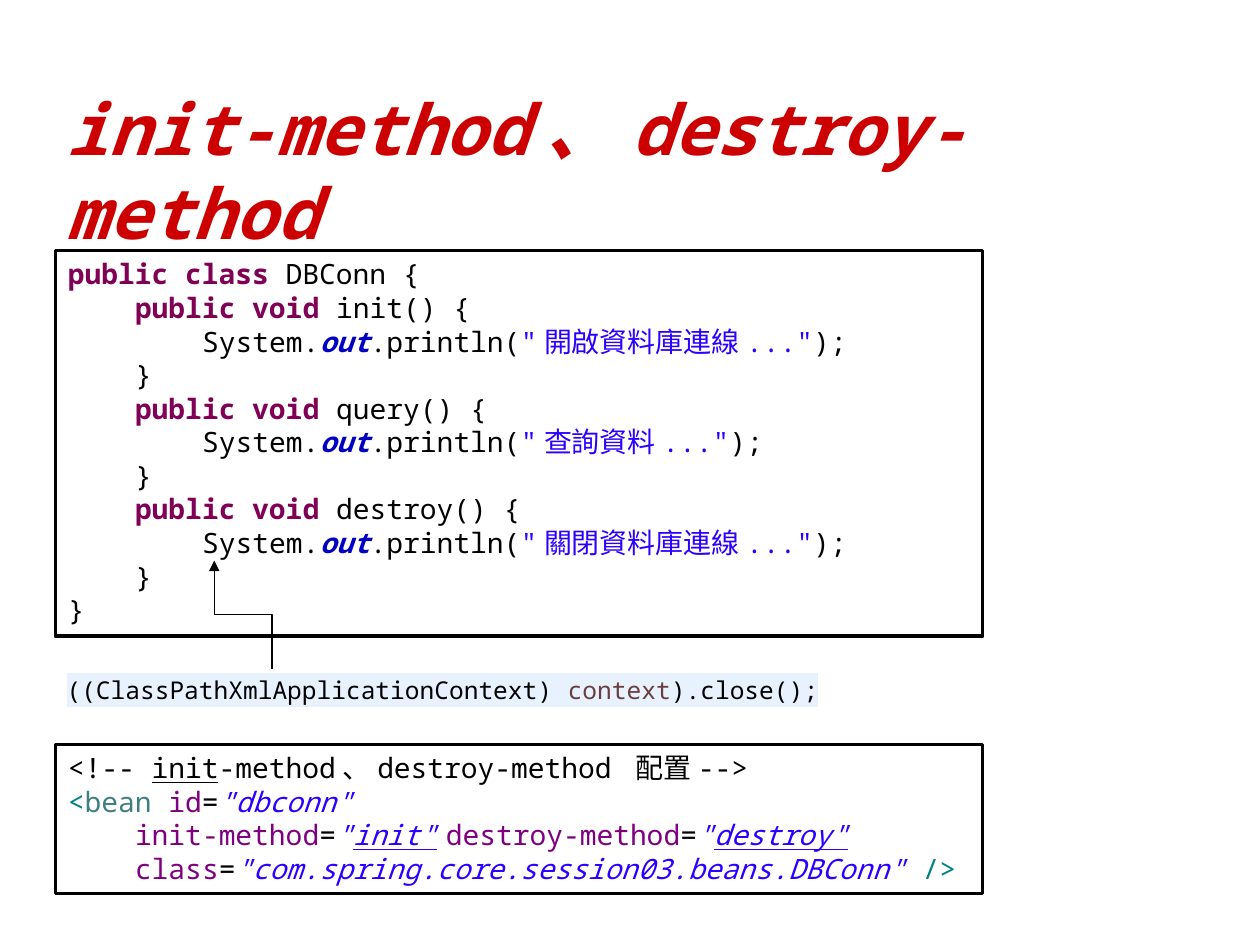
from dataclasses import dataclass

from lxml import etree
from pptx import Presentation
from pptx import util as u
from pptx.dml.color import RGBColor
from pptx.enum import shapes, text
from pptx.oxml.ns import qn


@dataclass(frozen=True)
class Theme:
    font: str = "Noto Sans Mono"
    title_size: int = 40
    code_size: int = 16
    call_size: int = 14
    title: str = "CC0000"
    ink: str = "000000"
    paper: str = "FFFFFF"
    highlight: str = "E8F2FE"


THEME = Theme()
CHAR = 0.6 * THEME.code_size / 72  # width of one code character, inches
LEFT, WIDTH = 0.44, 7.36

# Run styles: colour, then any of b(old), i(talic), u(nderline)
STYLES = {
    "plain": (THEME.ink, ""),
    "link": (THEME.ink, "u"),
    "keyword": ("7F0055", "b"),
    "field": ("0000C0", "bi"),
    "string": ("2A00FF", ""),
    "value": ("2A00FF", "i"),
    "method": ("2A00FF", "iu"),
    "bracket": ("008080", ""),
    "tag": ("3F7F7F", ""),
    "attr": ("7F007F", ""),
    "variable": ("6A3E3E", ""),
    "title": (THEME.title, "bi"),
}


def rgb(value):
    return RGBColor.from_string(value)


def add_run(p, content, style, size):
    color, flags = STYLES[style]
    r = p.add_run()
    r.text = content
    f = r.font
    f.name, f.size = THEME.font, u.Pt(size)
    f.bold, f.italic, f.underline = ("b" in flags, "i" in flags, "u" in flags)
    f.color.rgb = rgb(color)
    return r


def add_highlight(r, color):
    fill = r.font._element.find(qn("a:solidFill"))
    mark = etree.Element(qn("a:highlight"))
    etree.SubElement(mark, qn("a:srgbClr"), val=color)
    fill.addnext(mark)


def fill_lines(tf, lines, size):
    """Each line is (indent level, run, run, ...); a run is (text, style)."""
    tf.word_wrap = True
    tf.auto_size = text.MSO_AUTO_SIZE.SHAPE_TO_FIT_TEXT
    tf.vertical_anchor = text.MSO_ANCHOR.TOP
    for n, (level, *runs) in enumerate(lines):
        p = tf.add_paragraph() if n else tf.paragraphs[0]
        p.alignment = text.PP_ALIGN.LEFT
        pPr = p._p.get_or_add_pPr()
        pPr.set("marL", "0")
        pPr.set("indent", str(u.Inches(4 * CHAR * level)))
        for content, style in runs:
            add_run(p, content, style, size)


def add_tab_stop(p, columns):
    tabs = etree.SubElement(p._p.get_or_add_pPr(), qn("a:tabLst"))
    etree.SubElement(tabs, qn("a:tab"), pos=str(u.Inches(columns * CHAR)), algn="l")


def add_title(s, content):
    sp = s.shapes.title
    sp.left, sp.top, sp.width, sp.height = map(u.Inches, (0.43, 0.91, 9, 0.87))
    tf = sp.text_frame
    tf.word_wrap = True
    tf.auto_size = text.MSO_AUTO_SIZE.NONE
    tf.vertical_anchor = text.MSO_ANCHOR.MIDDLE
    p = tf.paragraphs[0]
    p.alignment = text.PP_ALIGN.LEFT
    add_run(p, content, "title", THEME.title_size)


def add_code_box(s, top, height, lines):
    sp = s.shapes.add_shape(shapes.MSO_SHAPE.RECTANGLE,
                            *map(u.Inches, (LEFT, top, WIDTH, height)))
    sp.shadow.inherit = False
    sp.fill.solid()
    sp.fill.fore_color.rgb = rgb(THEME.paper)
    sp.line.color.rgb = rgb(THEME.ink)
    sp.line.width = u.Pt(2)
    fill_lines(sp.text_frame, lines, THEME.code_size)
    return sp


def add_call(s, runs):
    sp = s.shapes.add_textbox(*map(u.Inches, (0.43, 5.31, 6.95, 0.34)))
    fill_lines(sp.text_frame, [(0, *runs)], THEME.call_size)
    for r in sp.text_frame.paragraphs[0].runs:
        add_highlight(r, THEME.highlight)


def add_rising_elbow(s, x1, y1, x2, y2):
    """Elbow arrow that leaves and arrives vertically: a level elbow turned by 270°."""
    cx, cy = (x1 + x2) / 2, (y1 + y2) / 2
    half_w, half_h = abs(y2 - y1) / 2, abs(x2 - x1) / 2
    cn = s.shapes.add_connector(
        shapes.MSO_CONNECTOR.ELBOW,
        *map(u.Inches, (cx - half_w, cy + half_h, cx + half_w, cy - half_h)))
    spPr = cn._element.spPr
    spPr.find(qn("a:xfrm")).set("rot", str(270 * 60000))
    cn.line.color.rgb = rgb(THEME.ink)
    cn.line.width = u.Pt(0.75)
    etree.SubElement(spPr.find(qn("a:ln")), qn("a:tailEnd"), type="triangle")
    etree.SubElement(spPr, qn("a:effectLst"))


def java_method(name, message):
    return [
        (1, ("public void ", "keyword"), (f"{name}() {{", "plain")),
        (2, ("System.", "plain"), ("out", "field"), (".println(", "plain"),
         (f'"{message}..."', "string"), (");", "plain")),
        (1, ("}", "plain")),
    ]


def main():
    prs = Presentation()
    prs.slide_width, prs.slide_height = u.Inches(10), u.Inches(7.5)
    s = prs.slides.add_slide(prs.slide_layouts[5])
    add_title(s, "init-method、destroy-method")

    add_code_box(s, 1.99, 3.06, [
        (0, ("public class ", "keyword"), ("DBConn {", "plain")),
        *java_method("init", "開啟資料庫連線"),
        *java_method("query", "查詢資料"),
        *java_method("destroy", "關閉資料庫連線"),
        (0, ("}", "plain")),
    ])

    add_call(s, [("((ClassPathXmlApplicationContext) ", "plain"),
                 ("context", "variable"), (").close();", "plain")])
    add_rising_elbow(s, 2.16, 5.31, 1.7, 4.45)

    equals, quote = ("=", "plain"), ('"', "value")
    bean = add_code_box(s, 5.91, 1.18, [
        (0, ("<!-- ", "plain"), ("init", "link"),
         ("-method、destroy-method 配置-->", "plain")),
        (0, ("<", "bracket"), ("bean ", "tag"), ("id", "attr"), equals,
         ('"dbconn"', "value")),
        (1, ("init-method", "attr"), equals, quote, ('init"', "method"),
         ("\tdestroy-method", "attr"), equals, quote, ('destroy"', "method")),
        (1, ("class", "attr"), equals,
         ('"com.spring.core.session03.beans.DBConn" ', "value"), ("/>", "bracket")),
    ])
    add_tab_stop(bean.text_frame.paragraphs[2], 25)

    prs.save("out.pptx")


if __name__ == "__main__":
    main()
